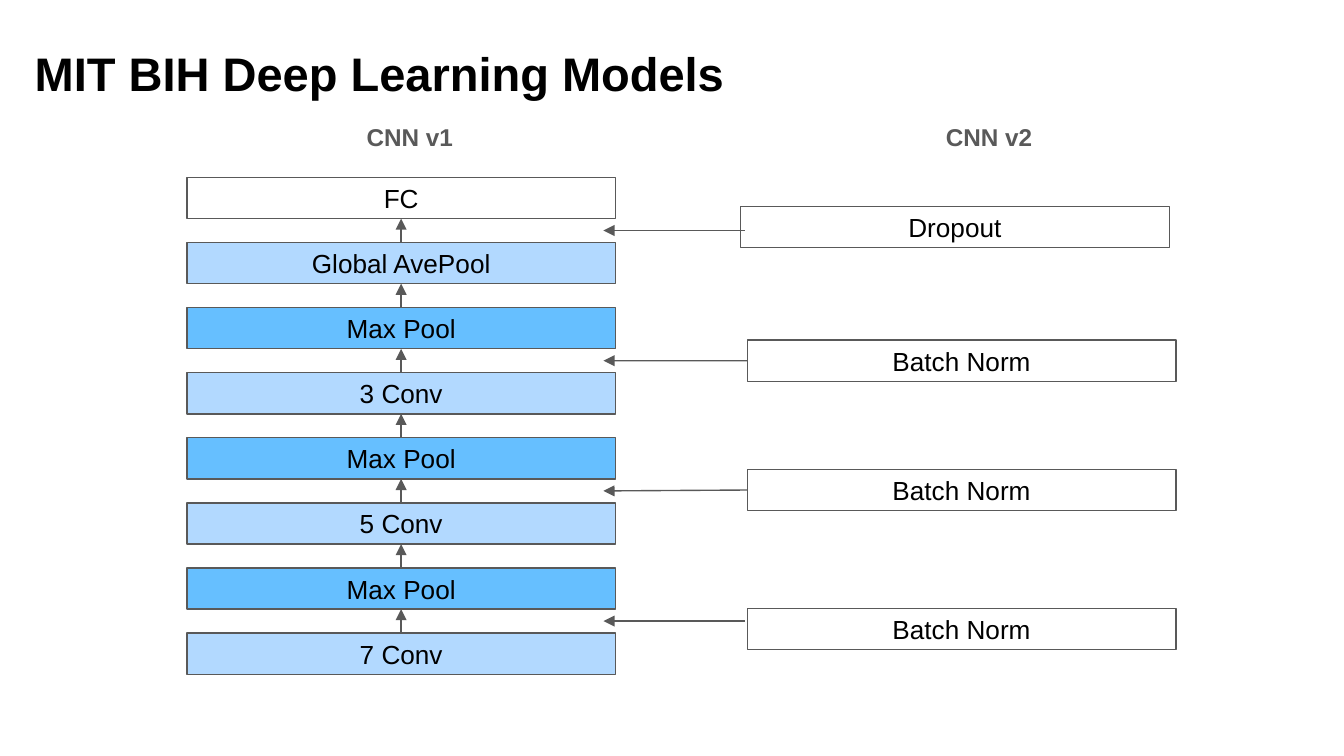
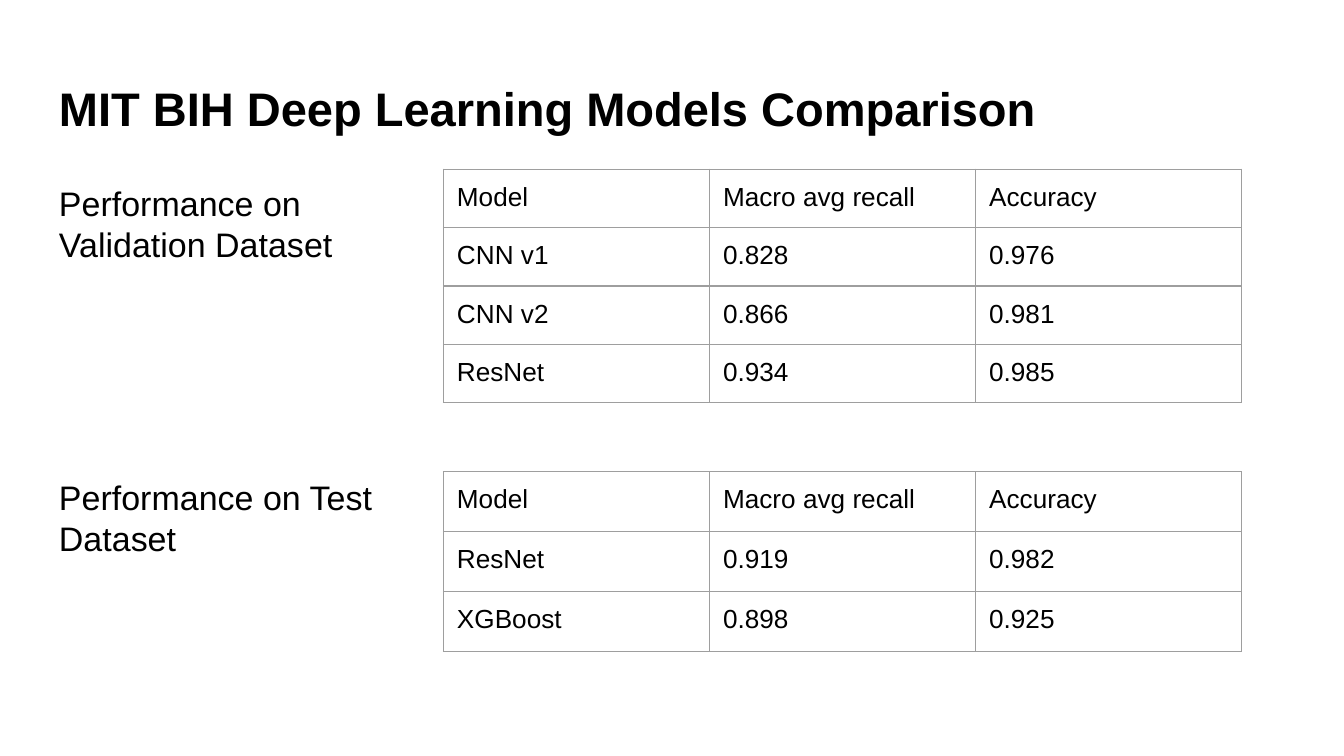
from dataclasses import dataclass
from itertools import pairwise

from lxml.etree import SubElement
from pptx import Presentation
from pptx.dml.color import RGBColor
from pptx.enum.shapes import MSO_CONNECTOR, MSO_SHAPE
from pptx.enum.text import MSO_ANCHOR, PP_ALIGN
from pptx.oxml.ns import qn
from pptx.shapes.autoshape import Shape
from pptx.shapes.connector import Connector
from pptx.slide import Slide
from pptx.table import _Cell
from pptx.text.text import TextFrame
from pptx.util import Inches, Length, Pt

SLIDE_WIDTH = Inches(10)
SLIDE_HEIGHT = Length(SLIDE_WIDTH * 9 // 16)
GRID_COLUMNS = 100
GRID_ROWS = 100


@dataclass(frozen=True)
class Theme:
    font: str = "Arial"
    ink: str = "000000"
    grey: str = "595959"
    white: str = "FFFFFF"
    pale_blue: str = "B2D9FF"
    bright_blue: str = "66BFFF"
    table_border: str = "9E9E9E"
    title_size: float = 25.2
    label_size: float = 18.2
    body_size: float = 14
    heading_size: float = 13
    line_width: float = 0.75
    inset: float = 0.1


@dataclass(frozen=True)
class Area:
    column: float
    row: float
    columns: float
    rows: float

    def lengths(self) -> tuple[Length, Length, Length, Length]:
        return across(self.column), down(self.row), across(self.columns), down(self.rows)


@dataclass(frozen=True)
class Layer:
    label: str
    fill: str


@dataclass(frozen=True)
class Addition:
    label: str
    column: float
    row: float
    below_layer: int


@dataclass(frozen=True)
class Results:
    label: str
    label_row: float
    table_row: float
    row_height: float
    scores: tuple[tuple[str, str, str], ...]


THEME = Theme()

LAYERS = (
    Layer("FC", THEME.white),
    Layer("Global AvePool", THEME.pale_blue),
    Layer("Max Pool", THEME.bright_blue),
    Layer("3 Conv", THEME.pale_blue),
    Layer("Max Pool", THEME.bright_blue),
    Layer("5 Conv", THEME.pale_blue),
    Layer("Max Pool", THEME.bright_blue),
    Layer("7 Conv", THEME.pale_blue),
)
LAYER_COLUMN = 13.9
LAYER_TOP = 23.47
LAYER_PITCH = 8.61
BOX_COLUMNS = 31.9
BOX_ROWS = 5.45
ARROW_START = 55.4
ARROW_END = 44.9
JOIN_TOLERANCE = 0.2

ADDITIONS = (
    Addition("Dropout", 55.1, 27.28, 0),
    Addition("Batch Norm", 55.6, 45, 2),
    Addition("Batch Norm", 55.6, 62.1, 4),
    Addition("Batch Norm", 55.6, 80.5, 6),
)

TABLE_HEADER = ("Model", "Macro avg recall", "Accuracy")
TABLE_COLUMN = 33
TABLE_COLUMN_WIDTH = 19.8
RESULTS = (
    Results("Performance on Validation Dataset", 22.4, 22.4, 7.44, (
        ("CNN v1", "0.828", "0.976"),
        ("CNN v2", "0.866", "0.981"),
        ("ResNet", "0.934", "0.985"),
    )),
    Results("Performance on Test Dataset", 61.3, 62.4, 7.94, (
        ("ResNet", "0.919", "0.982"),
        ("XGBoost", "0.898", "0.925"),
    )),
)


def across(columns: float) -> Length:
    return Length(round(SLIDE_WIDTH * columns / GRID_COLUMNS))


def down(rows: float) -> Length:
    return Length(round(SLIDE_HEIGHT * rows / GRID_ROWS))


def write(frame: TextFrame, text: str, size: float, color: str = THEME.ink,
          bold: bool = False) -> None:
    frame.text = text
    frame.word_wrap = True
    frame.margin_left = frame.margin_right = Inches(THEME.inset)
    frame.margin_top = frame.margin_bottom = Inches(THEME.inset)
    format_runs(frame, size, color, bold)


def format_runs(frame: TextFrame, size: float, color: str, bold: bool) -> None:
    for paragraph in frame.paragraphs:
        for run in paragraph.runs:
            run.font.name = THEME.font
            run.font.size = Pt(size)
            run.font.bold = bold
            run.font.color.rgb = RGBColor.from_string(color)


def add_text(slide: Slide, area: Area, text: str, size: float,
             color: str = THEME.ink, bold: bool = False) -> None:
    shape = slide.shapes.add_textbox(*area.lengths())
    write(shape.text_frame, text, size, color, bold)


def add_title(slide: Slide, column: float, row: float, text: str) -> None:
    add_text(slide, Area(column, row, 93.2, 11.2), text, THEME.title_size, bold=True)


def add_box(slide: Slide, column: float, row: float, label: str, fill: str) -> Shape:
    area = Area(column, row, BOX_COLUMNS, BOX_ROWS)
    shape = slide.shapes.add_shape(MSO_SHAPE.RECTANGLE, *area.lengths())
    shape.shadow.inherit = False
    shape.fill.solid()
    shape.fill.fore_color.rgb = RGBColor.from_string(fill)
    shape.line.color.rgb = RGBColor.from_string(THEME.grey)
    shape.line.width = Pt(THEME.line_width)
    write(shape.text_frame, label, THEME.body_size)
    shape.text_frame.vertical_anchor = MSO_ANCHOR.MIDDLE
    shape.text_frame.paragraphs[0].alignment = PP_ALIGN.CENTER
    return shape


def add_arrow(slide: Slide, row: float = 0) -> Connector:
    connector = slide.shapes.add_connector(
        MSO_CONNECTOR.STRAIGHT, across(ARROW_START), down(row), across(ARROW_END), down(row))
    connector.line.color.rgb = RGBColor.from_string(THEME.grey)
    connector.line.width = Pt(THEME.line_width)
    SubElement(connector.line._get_or_add_ln(), qn("a:tailEnd"), type="triangle")
    SubElement(connector._element.spPr, qn("a:effectLst"))
    return connector


def format_cell(cell: _Cell, text: str) -> None:
    write(cell.text_frame, text, THEME.body_size)
    cell.margin_left = cell.margin_right = Inches(THEME.inset)
    cell.margin_top = cell.margin_bottom = Inches(THEME.inset)
    properties = cell._tc.get_or_add_tcPr()
    for side in ("a:lnL", "a:lnR", "a:lnT", "a:lnB"):
        border = SubElement(properties, qn(side), w=str(Pt(THEME.line_width)))
        fill = SubElement(border, qn("a:solidFill"))
        SubElement(fill, qn("a:srgbClr"), val=THEME.table_border)
    cell.fill.background()


def add_results(slide: Slide, results: Results) -> None:
    rows = (TABLE_HEADER, *results.scores)
    area = Area(TABLE_COLUMN, results.table_row,
                TABLE_COLUMN_WIDTH * len(TABLE_HEADER), results.row_height * len(rows))
    table = slide.shapes.add_table(len(rows), len(TABLE_HEADER), *area.lengths()).table
    table.first_row = False
    table.horz_banding = False
    for row_index, values in enumerate(rows):
        for column_index, value in enumerate(values):
            format_cell(table.cell(row_index, column_index), value)
    add_text(slide, Area(3.4, results.label_row, 26.9, 14.5), results.label, THEME.label_size)


def build_models(slide: Slide) -> None:
    add_title(slide, 1.6, 4.1, "MIT BIH Deep Learning Models")
    for heading, column in (("CNN v1", 26.3), ("CNN v2", 69.4)):
        add_text(slide, Area(column, 14.4, 12, 6.8), heading,
                 THEME.heading_size, THEME.grey, bold=True)
    boxes = [add_box(slide, LAYER_COLUMN, LAYER_TOP + index * LAYER_PITCH,
                     layer.label, layer.fill)
             for index, layer in enumerate(LAYERS)]
    for upper, lower in pairwise(boxes):
        arrow = add_arrow(slide)
        arrow.begin_connect(lower, 0)
        arrow.end_connect(upper, 2)
    for addition in ADDITIONS:
        box = add_box(slide, addition.column, addition.row, addition.label, THEME.white)
        gap_middle = (LAYER_TOP + addition.below_layer * LAYER_PITCH
                      + (LAYER_PITCH + BOX_ROWS) / 2)
        arrow = add_arrow(slide, gap_middle)
        if abs(addition.row + BOX_ROWS / 2 - gap_middle) < JOIN_TOLERANCE:
            arrow.begin_connect(box, 1)


def build_comparison(slide: Slide) -> None:
    add_title(slide, 3.4, 8.7, "MIT BIH Deep Learning Models Comparison")
    for results in RESULTS:
        add_results(slide, results)


def main() -> None:
    presentation = Presentation()
    presentation.slide_width = SLIDE_WIDTH
    presentation.slide_height = SLIDE_HEIGHT
    blank_layout = presentation.slide_layouts[6]
    for build in (build_models, build_comparison):
        build(presentation.slides.add_slide(blank_layout))
    presentation.save("out.pptx")


if __name__ == "__main__":
    main()
